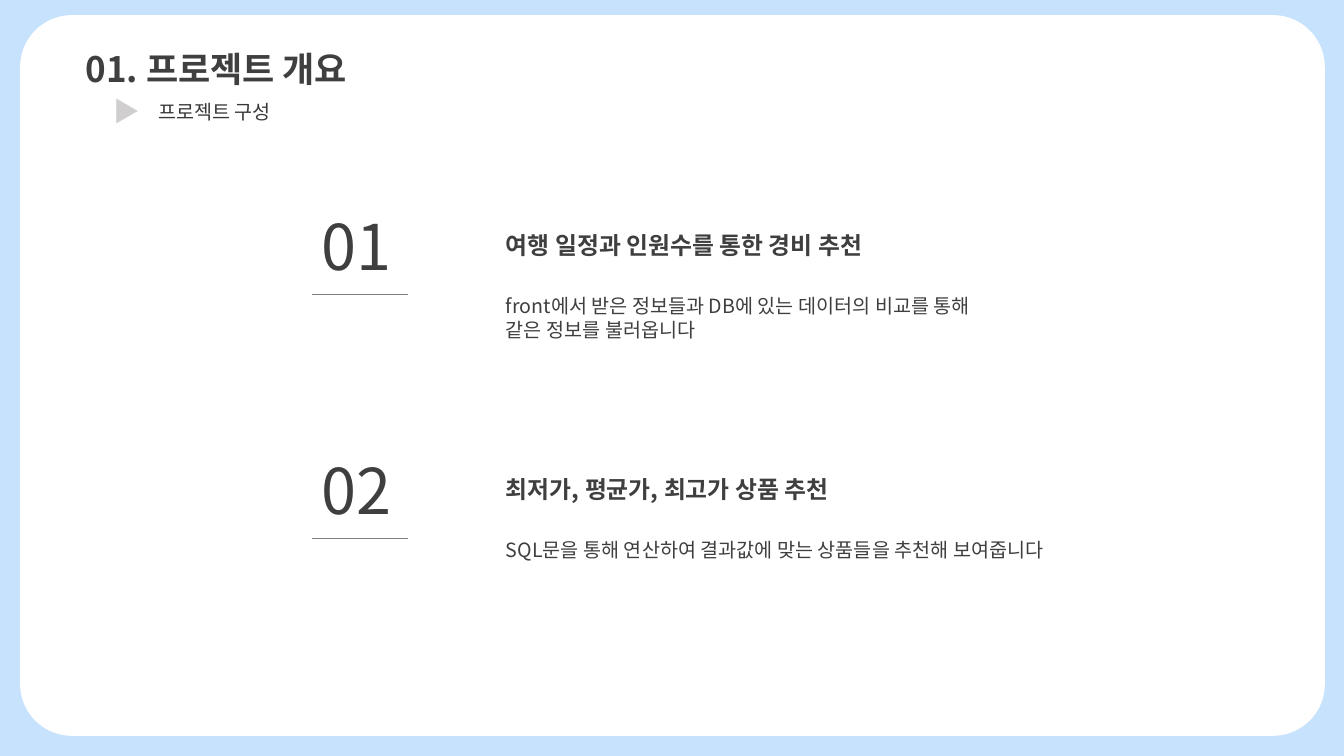
from lxml.etree import SubElement
from pptx import Presentation
from pptx.dml.color import RGBColor
from pptx.enum.shapes import MSO_CONNECTOR, MSO_SHAPE
from pptx.enum.text import MSO_ANCHOR, MSO_AUTO_SIZE, PP_ALIGN
from pptx.oxml.ns import qn
from pptx.util import Inches, Pt

FONT = "Noto Sans CJK KR"
INK = "3F3F3F"
ITEMS = [
    ("01", "여행 일정과 인원수를 통한 경비 추천",
     "front에서 받은 정보들과 DB에 있는 데이터의 비교를 통해 같은 정보를 불러옵니다", 4.97, 0.67),
    ("02", "최저가, 평균가, 최고가 상품 추천",
     "SQL문을 통해 연산하여 결과값에 맞는 상품들을 추천해 보여줍니다", 6.13, 0.44),
]


def rgb(value):
    return RGBColor.from_string(value)


def write(sp, text, size, color=INK, bold=False, inset=0.1):
    tf = sp.text_frame
    tf.word_wrap = True
    tf.auto_size = MSO_AUTO_SIZE.SHAPE_TO_FIT_TEXT
    tf.vertical_anchor = MSO_ANCHOR.TOP
    tf.margin_left = tf.margin_right = Inches(0.1)
    tf.margin_top = tf.margin_bottom = Inches(inset)
    p = tf.paragraphs[0]
    p.alignment = PP_ALIGN.LEFT
    p.line_spacing = 1.0
    r = p.add_run()
    r.text = text
    r.font.size = Pt(size)
    r.font.bold = bold
    r.font.color.rgb = rgb(color)
    r.font.name = FONT
    SubElement(r.font._element, qn("a:ea"), typeface=FONT)


def add_text(s, box, text, size, **style):
    write(s.shapes.add_textbox(*map(Inches, box)), text, size, **style)


def add_card(s, left, top, width, height):
    sp = s.shapes.add_shape(MSO_SHAPE.ROUNDED_RECTANGLE,
                            *map(Inches, (left, top, width, height)))
    sp.adjustments[0] = 0.072
    sp.shadow.inherit = False
    sp.fill.solid()
    sp.fill.fore_color.rgb = rgb("FFFFFF")
    sp.line.fill.background()
    s.shapes.title.element.addprevious(sp.element)


def add_header(s, left, top):
    title = s.shapes.title
    title.left, title.top, title.width, title.height = map(
        Inches, (left, top, 3.12, 0.42))
    write(title, "01. 프로젝트 개요", 25, bold=True, inset=0)
    row = top + 0.42
    add_text(s, (left + 0.28, row, 0.55, 0.42), "▶", 19,
             color="D0CECE", bold=True, inset=0.05)
    add_text(s, (left + 0.72, row, 2.67, 0.44), "프로젝트 구성", 14, color="3A3838")


def add_item(s, left, top, number, heading, detail, width, height):
    add_text(s, (left, top, 0.98, 0.96), number, 45)
    text_left = left + 1.83
    add_text(s, (text_left, top + 0.23, 4.05, 0.49), heading, 17, bold=True)
    add_text(s, (text_left, top + 0.86, width, height), detail, 14)
    rule = s.shapes.add_connector(
        MSO_CONNECTOR.STRAIGHT,
        *map(Inches, (left, top + 0.96, left + 0.96, top + 0.96)))
    rule.line.color.rgb = rgb("7F7F7F")
    rule.line.width = Pt(0.75)
    SubElement(rule.element.spPr, qn("a:effectLst"))


def main():
    prs = Presentation()
    prs.slide_width, prs.slide_height = Inches(13.33), Inches(7.5)
    s = prs.slides.add_slide(prs.slide_layouts[5])
    s.background.fill.solid()
    s.background.fill.fore_color.rgb = rgb("C7E2FC")
    add_card(s, 0.2, 0.15, 12.94, 7.15)
    add_header(s, 0.75, 0.47)
    for i, item in enumerate(ITEMS):
        add_item(s, 3.09, 1.96 + 2.42 * i, *item)
    prs.save("out.pptx")


if __name__ == "__main__":
    main()
